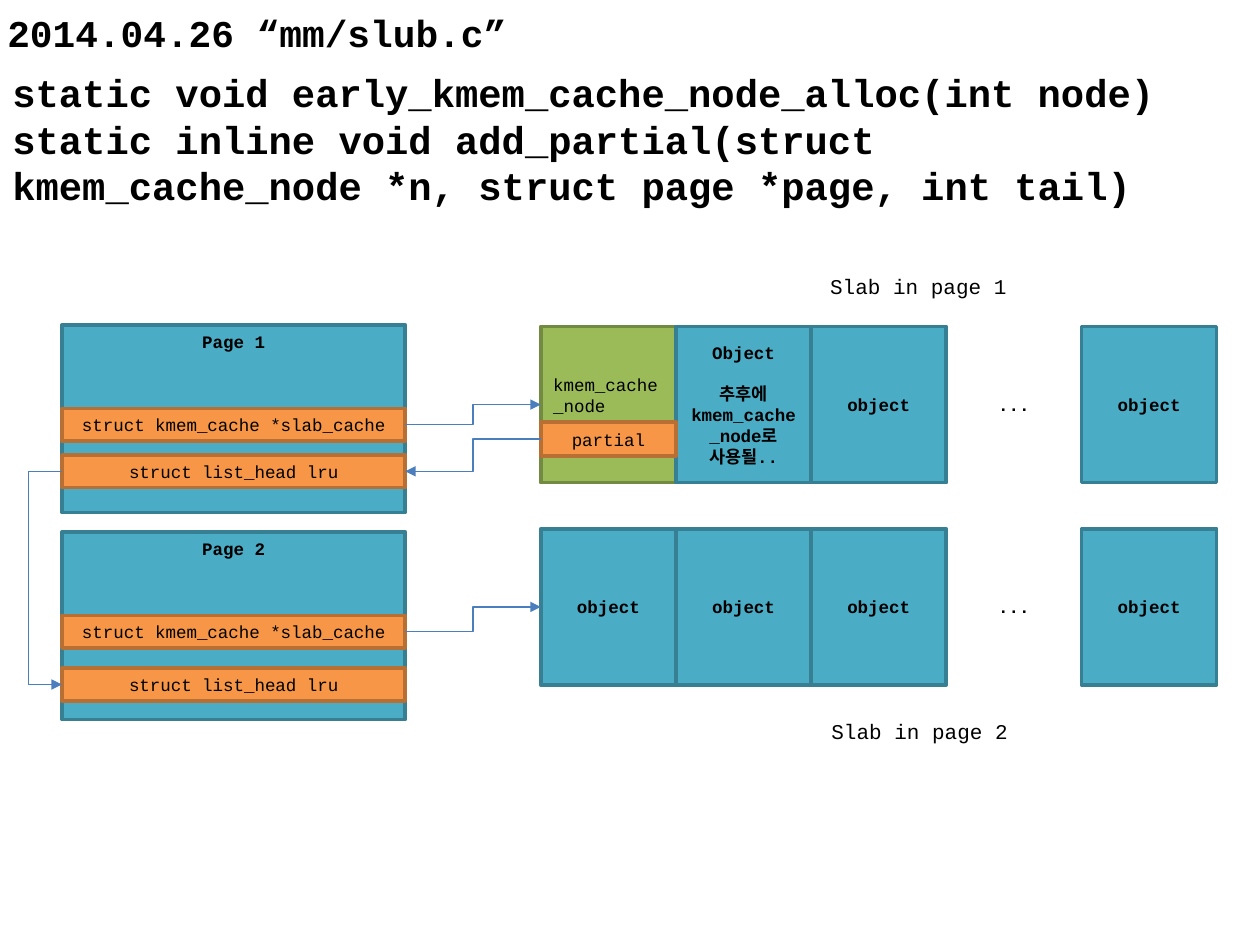
from dataclasses import dataclass

from lxml import etree
from pptx import Presentation
from pptx.dml.color import RGBColor
from pptx.enum.shapes import MSO_CONNECTOR, MSO_SHAPE
from pptx.enum.text import MSO_ANCHOR, PP_ALIGN
from pptx.oxml.ns import qn
from pptx.util import Pt

RECT = MSO_SHAPE.RECTANGLE
ELBOW = MSO_CONNECTOR.ELBOW
TOP, MIDDLE = MSO_ANCHOR.TOP, MSO_ANCHOR.MIDDLE
LEFT, CENTER = PP_ALIGN.LEFT, PP_ALIGN.CENTER

FONT = "Courier New"
BLUE = ("4BACC6", "377F92")
GREEN = ("9BBB59", "738A42")
ORANGE = ("F79646", "B76F34")
WHITE = ("FFFFFF", "FFFFFF")
ARROW_COLOR = "4B7EBC"

PAGE_X, PAGE_W, PAGE_H, FIELD_H = 35.4, 196.2, 107.3, 18.7
PAGE_RIGHT = PAGE_X + PAGE_W
CELL_X, CELL_W, CELL_H = 309, 77.25, 89.3
PARTIAL_Y, PARTIAL_H = 241.2, 19.4
LOOP_W, LOOP_REACH = 0.08, 18


@dataclass
class Cell:
    """One object slot of a slab."""
    column: int
    text: str = "object"
    colors: tuple[str, str] = BLUE
    bold: bool = True
    align: PP_ALIGN = CENTER
    bottom: float = 3.6


@dataclass
class Page:
    """A struct page with its two fields and the slab it owns."""
    name: str
    y: float
    cache_y: float
    lru_y: float
    slab_y: float
    cells: list[Cell]


GAP, SECOND, THIRD, LAST = Cell(3, "...", WHITE), Cell(1), Cell(2), Cell(4)
NODE = Cell(0, "kmem_cache_node", GREEN, False, LEFT, 14.9)
FUTURE_NODE = Cell(1, "Object\n추후에 kmem_cache_node로 사용될..")
PAGES = [
    Page("Page 1", 185.6, 233.4, 260, 186.6, [GAP, NODE, FUTURE_NODE, THIRD, LAST]),
    Page("Page 2", 303.9, 351.6, 381.8, 302.2, [GAP, Cell(0), SECOND, THIRD, LAST]),
]


def color(value: str) -> RGBColor:
    """Turn a hex string into a colour."""
    return RGBColor.from_string(value)


def write(shape, text: str, *, size: float = 10, bold: bool = False,
          align: PP_ALIGN = LEFT, anchor: MSO_ANCHOR = TOP, wrap: bool = True,
          top: float = 3.6, bottom: float = 3.6, gap: float = 0,
          spacing: float | None = None) -> None:
    """Fill a shape with formatted paragraphs, one per line of text."""
    tf = shape.text_frame
    tf.word_wrap, tf.vertical_anchor = wrap, anchor
    tf.margin_top, tf.margin_bottom = Pt(top), Pt(bottom)
    for i, line in enumerate(text.split("\n")):
        p = tf.add_paragraph() if i else tf.paragraphs[0]
        p.alignment = align
        if i and gap:
            p.space_before = Pt(gap)
        if spacing:
            p.line_spacing = Pt(spacing)
        r = p.add_run()
        r.text = line
        r.font.name, r.font.size, r.font.bold = FONT, Pt(size), bold
        r.font.color.rgb = color("000000")


def add_text(s, x: float, y: float, w: float, h: float, text: str, **fmt) -> None:
    """Add a text box."""
    write(s.shapes.add_textbox(Pt(x), Pt(y), Pt(w), Pt(h)), text, **fmt)


def add_box(s, x: float, y: float, w: float, h: float, text: str,
            colors: tuple[str, str], **fmt) -> None:
    """Add a centred, outlined rectangle with text."""
    sp = s.shapes.add_shape(RECT, Pt(x), Pt(y), Pt(w), Pt(h))
    sp.shadow.inherit = False
    sp.fill.solid()
    sp.fill.fore_color.rgb = color(colors[0])
    sp.line.color.rgb = color(colors[1])
    sp.line.width = Pt(2)
    write(sp, text, **{"align": CENTER, "anchor": MIDDLE, **fmt})


def add_arrow(s, x1: float, y1: float, x2: float, y2: float, bend: float = 0.5) -> None:
    """Add an elbow arrow that turns at a fraction of its width."""
    cx = s.shapes.add_connector(ELBOW, Pt(x1), Pt(y1), Pt(x2), Pt(y2))
    cx.line.color.rgb = color(ARROW_COLOR)
    cx.line.width = Pt(0.75)
    props = cx.element.spPr
    etree.SubElement(props.find(qn("a:ln")), qn("a:tailEnd"), type="triangle")
    etree.SubElement(props, qn("a:effectLst"))
    etree.SubElement(props.find(".//" + qn("a:avLst")), qn("a:gd"),
                     name="adj1", fmla=f"val {round(bend * 100000)}")


def add_page(s, page: Page) -> None:
    """Draw a page, its fields, its slab and the arrow between them."""
    add_box(s, PAGE_X, page.y, PAGE_W, PAGE_H, page.name, BLUE, bold=True, anchor=TOP)
    for y, field in ((page.cache_y, "struct kmem_cache *slab_cache"),
                     (page.lru_y, "struct list_head lru")):
        add_box(s, PAGE_X, y, PAGE_W, FIELD_H, field, ORANGE, wrap=False)
    for cell in page.cells:
        add_box(s, CELL_X + cell.column * CELL_W, page.slab_y, CELL_W, CELL_H,
                cell.text, cell.colors, bold=cell.bold, align=cell.align,
                bottom=cell.bottom, gap=11.3)
    add_arrow(s, PAGE_RIGHT, page.cache_y + FIELD_H / 2,
              CELL_X, page.slab_y + CELL_H / 2)


def main() -> None:
    """Build the slide and save it."""
    prs = Presentation()
    prs.slide_width, prs.slide_height = Pt(720), Pt(540)
    s = prs.slides.add_slide(prs.slide_layouts[6])
    add_text(s, -2.9, -2.2, 722.9, 28, "2014.04.26 “mm/slub.c”",
             size=21.6, bold=True, top=7.7)
    add_text(s, 0, 32.4, 720, 72,
             "static void early_kmem_cache_node_alloc(int node)\n"
             "static inline void add_partial(struct kmem_cache_node *n, "
             "struct page *page, int tail)",
             size=22.2, bold=True, top=7, spacing=26.6)
    for page in PAGES:
        add_page(s, page)
    add_box(s, CELL_X, PARTIAL_Y, CELL_W, PARTIAL_H, "partial", ORANGE, wrap=False)
    first_lru, second_lru = (page.lru_y + FIELD_H / 2 for page in PAGES)
    add_arrow(s, CELL_X, PARTIAL_Y + PARTIAL_H / 2, PAGE_RIGHT, first_lru)
    add_arrow(s, PAGE_X + LOOP_W, first_lru, PAGE_X, second_lru, LOOP_REACH / LOOP_W)
    add_text(s, 467.3, 152.6, 119.5, 21.6, "Slab in page 1", size=12)
    add_text(s, 468, 406.8, 119.5, 21.6, "Slab in page 2", size=12)
    prs.save("out.pptx")


if __name__ == "__main__":
    main()
